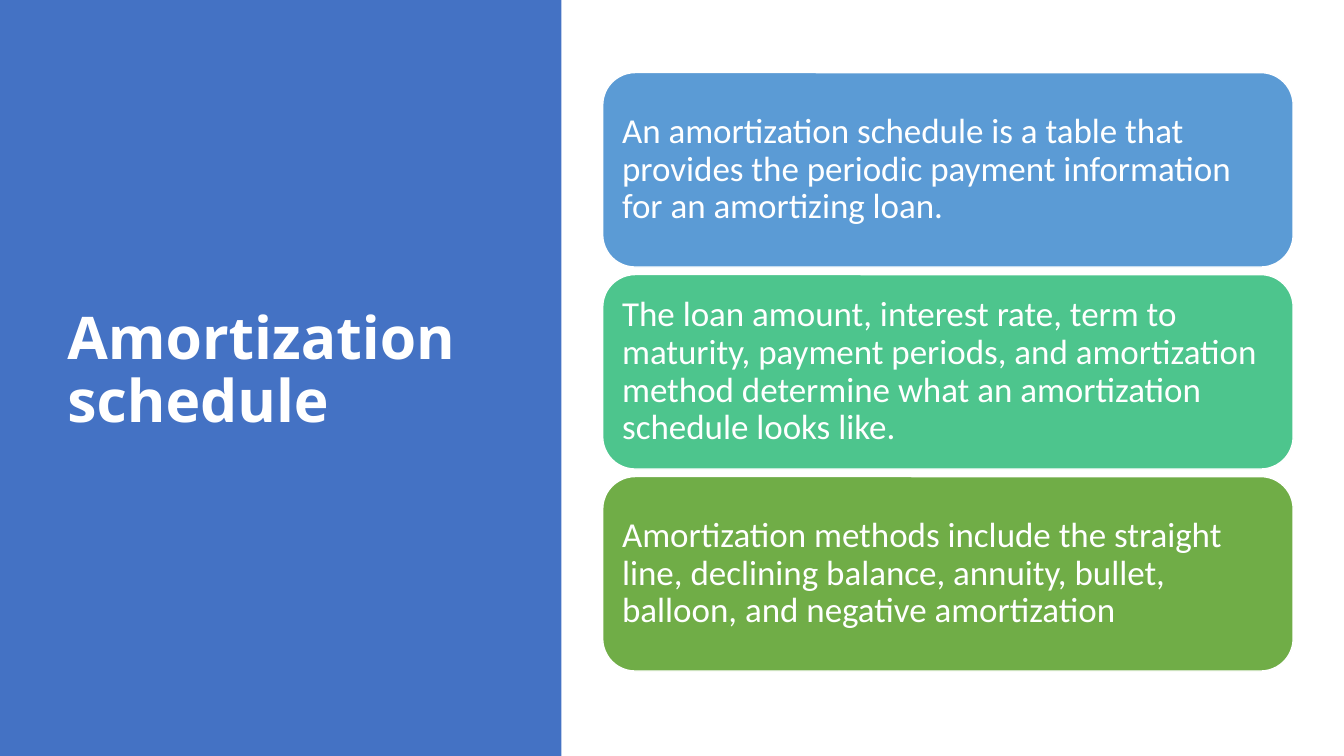
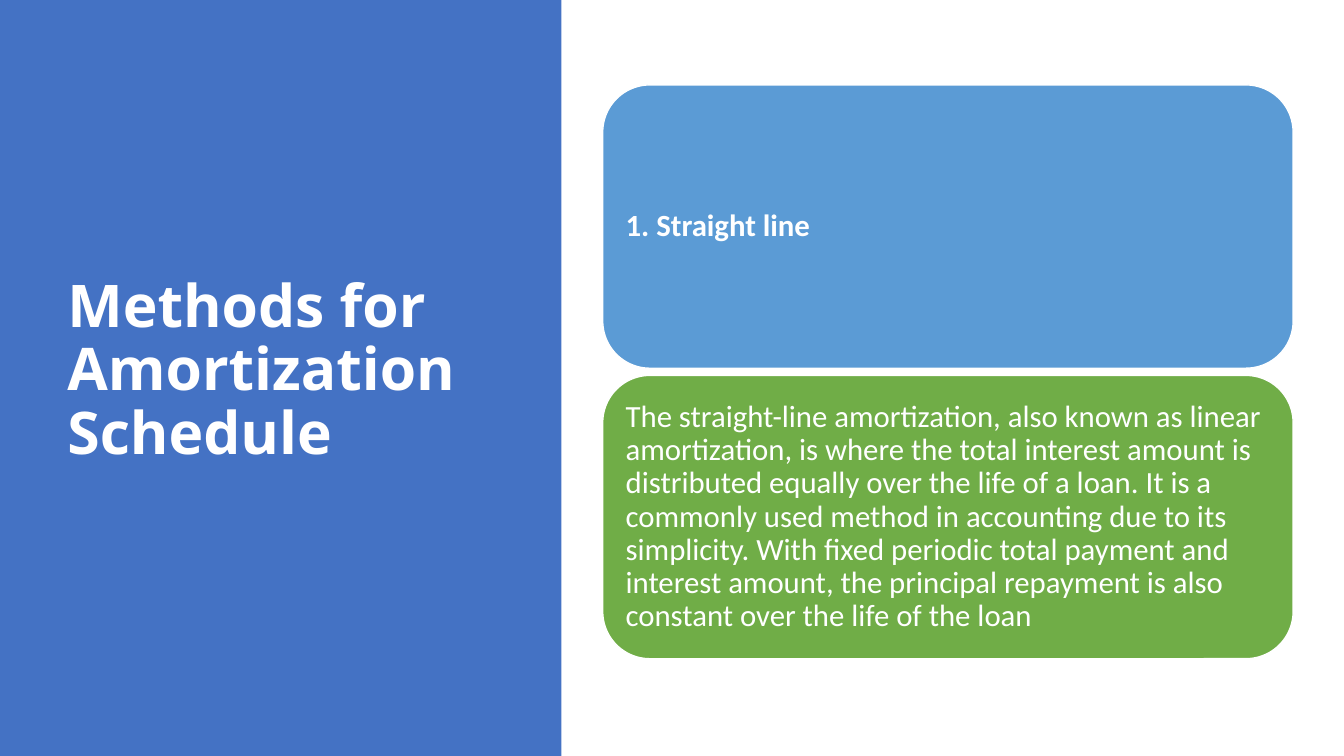
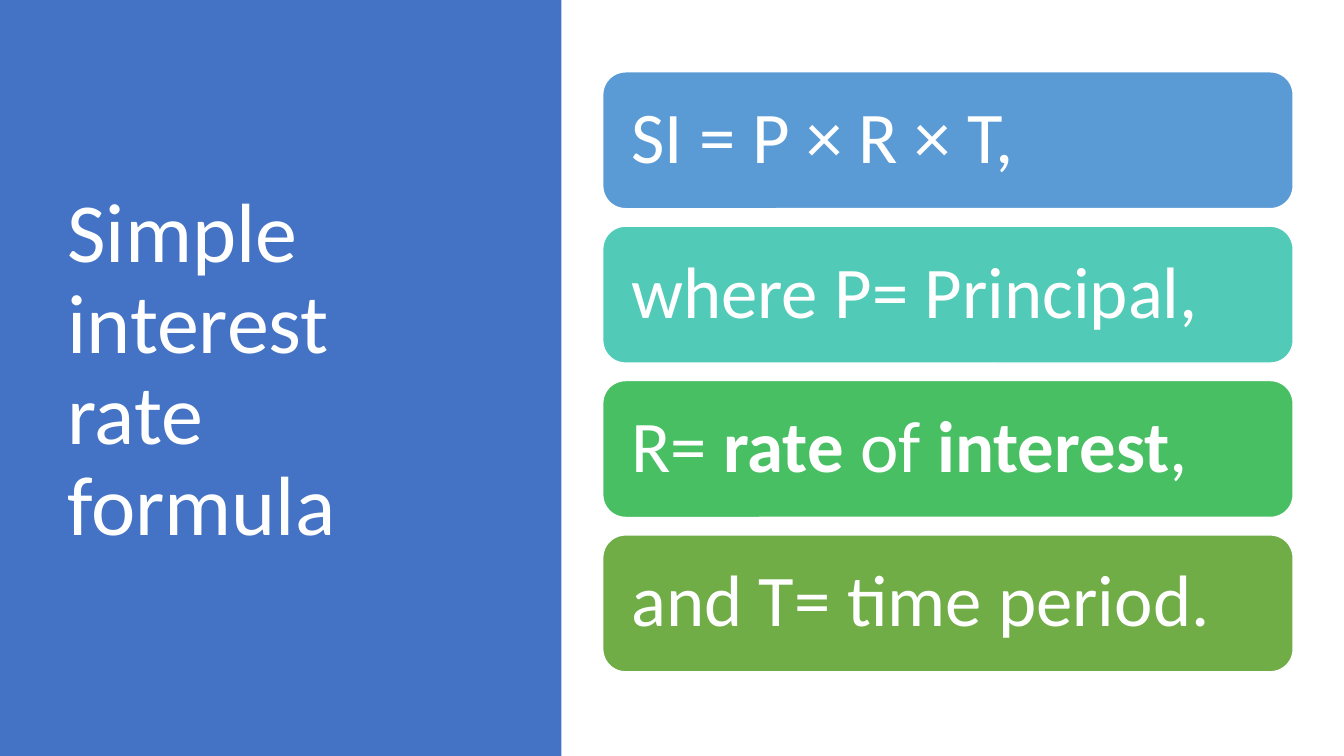
from pptx import Presentation
from pptx.dml.color import RGBColor
from pptx.enum.shapes import MSO_SHAPE
from pptx.enum.text import MSO_ANCHOR, PP_ALIGN
from pptx.util import Cm, Pt

RECTANGLE = MSO_SHAPE.RECTANGLE
ROUNDED = MSO_SHAPE.ROUNDED_RECTANGLE
MIDDLE = MSO_ANCHOR.MIDDLE
LEFT = PP_ALIGN.LEFT

WHITE = RGBColor(0xFF, 0xFF, 0xFF)
PANEL_BLUE = RGBColor(0x44, 0x72, 0xC4)
SKY = RGBColor(0x5B, 0x9B, 0xD5)
MINT = RGBColor(0x4D, 0xC5, 0x8D)
TEAL = RGBColor(0x52, 0xCA, 0xB8)
EMERALD = RGBColor(0x49, 0xBF, 0x64)
GREEN = RGBColor(0x70, 0xAD, 0x47)

BODY_FONT = "Calibri"
HEADING_FONT = "Open Sans"
SLIDE_WIDTH, SLIDE_HEIGHT = 33.87, 19.05
PANEL_WIDTH = 14.15
TITLE_LEFT, TITLE_WIDTH, TITLE_HEIGHT = 1.45, 10.57, 15.29
CARD_LEFT, CARD_WIDTH = 15.19, 17.4
CENTRE = 9.37


class Deck:
    def __init__(self):
        self.presentation = Presentation()
        self.presentation.slide_width = Cm(SLIDE_WIDTH)
        self.presentation.slide_height = Cm(SLIDE_HEIGHT)
        self.slide = None

    def add_slide(self):
        layout = self.presentation.slide_layouts[6]
        self.slide = self.presentation.slides.add_slide(layout)
        self.box(RECTANGLE, 0, 0, PANEL_WIDTH, SLIDE_HEIGHT, PANEL_BLUE)

    def box(self, kind, left, top, width, height, fill):
        shape = self.slide.shapes.add_shape(
            kind, Cm(left), Cm(top), Cm(width), Cm(height))
        shape.shadow.inherit = False
        shape.fill.solid()
        shape.fill.fore_color.rgb = fill
        shape.line.fill.background()
        return shape

    def add_text(self, shape, runs, size, font):
        frame = shape.text_frame
        frame.word_wrap = True
        frame.vertical_anchor = MIDDLE
        paragraph = frame.paragraphs[0]
        paragraph.alignment = LEFT
        paragraph.line_spacing = 0.9
        for text, bold in runs:
            run = paragraph.add_run()
            run.text = text
            run.font.name = font
            run.font.size = Pt(size)
            run.font.bold = bold
            run.font.color.rgb = WHITE

    def title(self, text, size=42, font=HEADING_FONT, bold=True):
        shape = self.slide.shapes.add_textbox(
            Cm(TITLE_LEFT), Cm(CENTRE - TITLE_HEIGHT / 2),
            Cm(TITLE_WIDTH), Cm(TITLE_HEIGHT))
        self.add_text(shape, [(text, bold)], size, font)

    def card(self, top, height, fill, runs, size, inset):
        shape = self.box(ROUNDED, CARD_LEFT, top, CARD_WIDTH, height, fill)
        shape.line.color.rgb = WHITE
        shape.line.width = Pt(1)
        frame = shape.text_frame
        frame.margin_left = frame.margin_right = Cm(inset)
        frame.margin_top = frame.margin_bottom = Cm(inset)
        self.add_text(shape, runs, size, BODY_FONT)

    def card_stack(self, cards, height, gap, size, inset):
        pitch = height + gap
        first_top = CENTRE - (len(cards) * pitch - gap) / 2
        for index, (fill, runs) in enumerate(cards):
            self.card(first_top + index * pitch, height, fill, runs, size, inset)


def main():
    deck = Deck()

    deck.add_slide()
    deck.title("Amortization schedule")
    deck.card_stack([
        (SKY, [("An amortization schedule is a table that provides the periodic "
                "payment information for an amortizing loan.", False)]),
        (MINT, [("The loan amount, interest rate, term to maturity, payment "
                 "periods, and amortization method determine what an "
                 "amortization schedule looks like.", False)]),
        (GREEN, [("Amortization methods include the straight line, declining "
                  "balance, annuity, bullet, balloon, and negative "
                  "amortization", False)]),
    ], height=4.9, gap=0.19, size=25, inset=0.25)

    deck.add_slide()
    deck.title("Methods for Amortization Schedule")
    deck.card_stack([
        (SKY, [("1. Straight line", True)]),
        (GREEN, [("The straight-line amortization, also known as linear "
                  "amortization, is where the total interest amount is "
                  "distributed equally over the life of a loan. It is a "
                  "commonly used method in accounting due to its simplicity. "
                  "With fixed periodic total payment and interest amount, the "
                  "principal repayment is also constant over the life of the "
                  "loan", False)]),
    ], height=7.14, gap=0.18, size=22, inset=0.23)

    deck.add_slide()
    deck.title("Simple interest rate formula", 60, BODY_FONT, False)
    deck.card_stack([
        (SKY, [("SI = P × R × T,", False)]),
        (TEAL, [("where P= Principal,", False)]),
        (EMERALD, [("R= ", False), ("rate", True), (" of ", False),
                   ("interest", True), (",", False)]),
        (GREEN, [("and T= time period.", False)]),
    ], height=3.45, gap=0.44, size=52, inset=0.55)

    deck.presentation.save("out.pptx")


if __name__ == "__main__":
    main()
